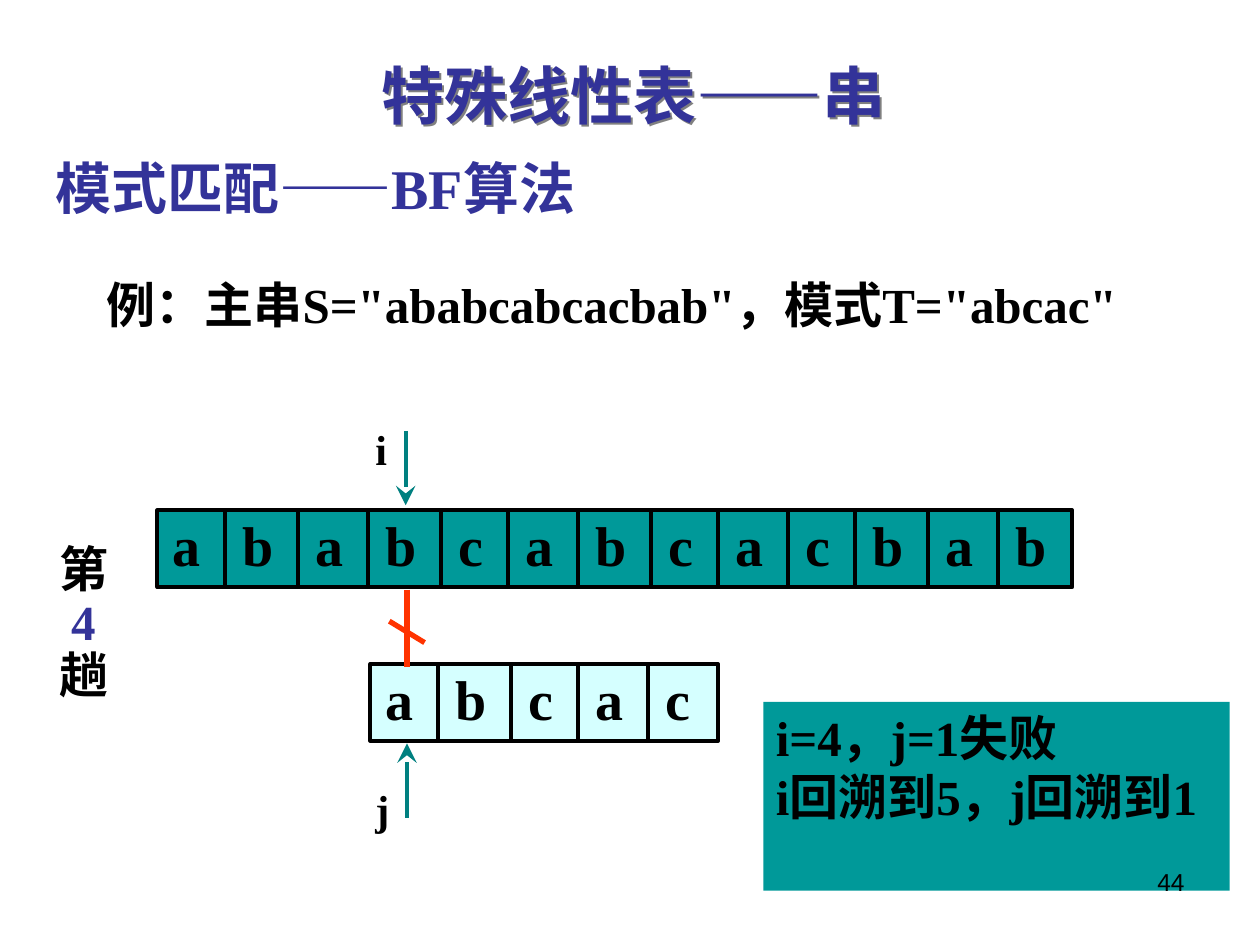
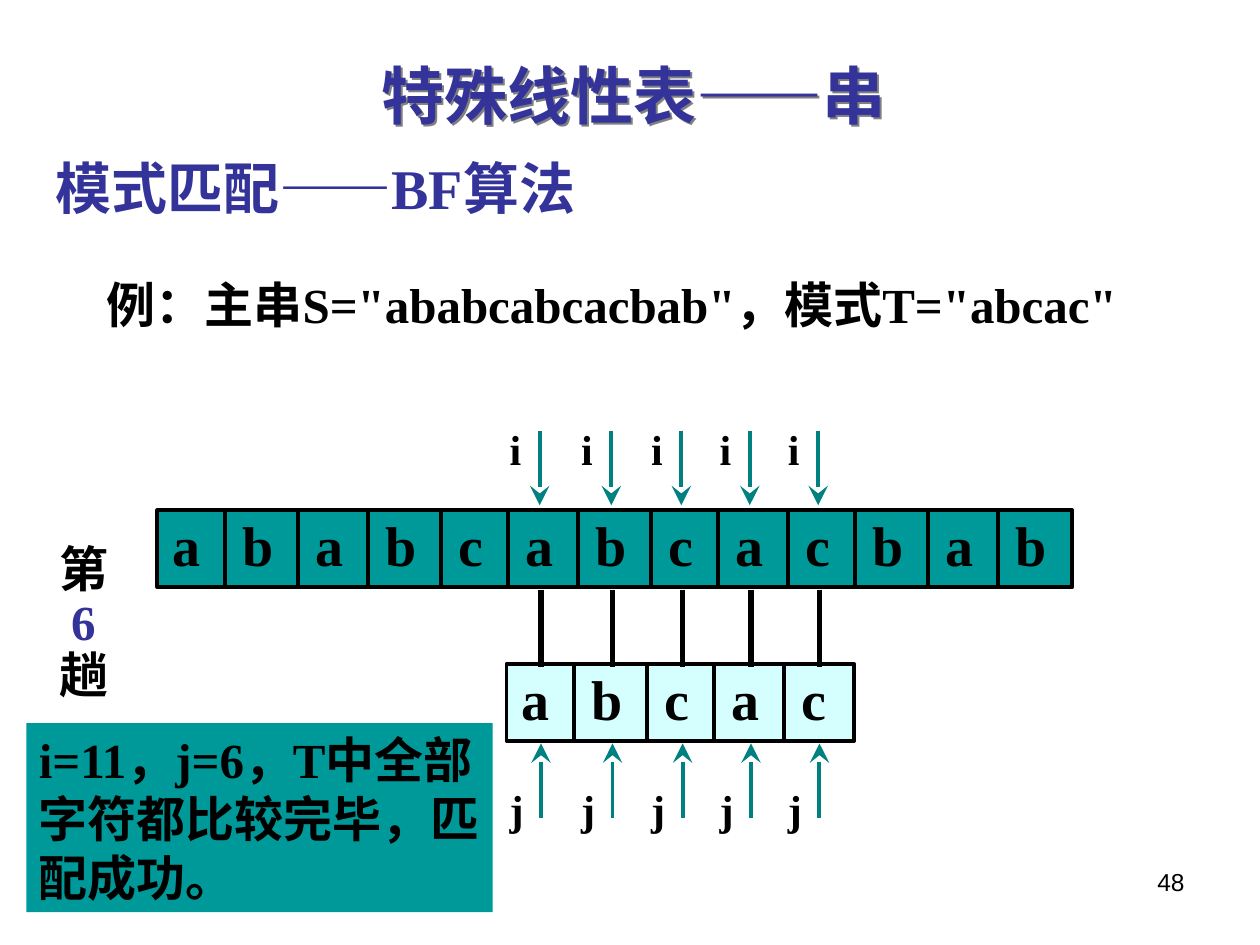
from itertools import accumulate

from lxml import etree
from pptx import Presentation
from pptx import util as u
from pptx.dml.color import RGBColor
from pptx.enum import shapes, text
from pptx.oxml.ns import qn

BLACK, NAVY, TEAL, ARROW = "000000", "333399", "009999", "008080"
PALE, RED, SHADOW = "D5FFFF", "FF3300", "808080"
SERIF, SANS = "Times New Roman", "Arial"

MAIN_STRING, PATTERN = "ababcabcacbab", "abcac"
MAIN_LEFT, MAIN_TOP, PATTERN_TOP, ROW_HEIGHT = 1.25, 4.05, 5.27, 0.61
ROW_INSET, ROW_SIZE = 0.12, 32
LETTER_EM = {"a": 0.5, "b": 0.556, "c": 0.444}
GAP_EM = 0.75


def color(value):
    return RGBColor.from_string(value)


def letter_width(letter):
    return LETTER_EM[letter] * ROW_SIZE / 72


def letter_offsets(letters):
    """Left edge of each letter, measured from the first one, in inches."""
    steps = [letter_width(letter) + GAP_EM * ROW_SIZE / 72 for letter in letters[:-1]]
    return list(accumulate(steps, initial=0))


class StringDeck:
    def __init__(self):
        self.presentation = Presentation()
        self.presentation.slide_width = u.Inches(10)
        self.presentation.slide_height = u.Inches(7.5)
        self.slide = None

    def start_slide(self, round_number):
        self.slide = self.presentation.slides.add_slide(self.presentation.slide_layouts[6])
        title = self.text_box(2.93, 0.4, 4.77, 0.7, [[("特殊线性表——串", NAVY)]], 36)
        self.cast_shadow(title)
        self.text_box(0.34, 1.17, 8.17, 0.64, [[("模式匹配——BF算法", NAVY)]], 32)
        self.text_box(0.75, 2.13, 8.92, 0.57,
                      [[('例：主串S="ababcabcacbab"，模式T="abcac"', BLACK)]])
        self.text_box(0.37, 4.28, 0.71, 1.36,
                      [[("第", BLACK)], [(f" {round_number}", NAVY)], [("趟", BLACK)]],
                      line_spacing=0.9)
        self.letter_row(MAIN_STRING, MAIN_LEFT, MAIN_TOP, 7.26, TEAL)

    def page_number(self, number):
        shape = self.text_box(7.17, 6.83, 2.33, 0.52, [[(str(number), BLACK)]],
                              14, font=SANS, bold=False)
        shape.text_frame.paragraphs[0].alignment = text.PP_ALIGN.RIGHT

    def fill_text(self, frame, lines, size, font=SERIF, bold=True, line_spacing=None):
        """Write lines, each a list of (words, colour) runs."""
        frame.word_wrap = True
        frame.vertical_anchor = text.MSO_ANCHOR.TOP
        for index, line in enumerate(lines):
            paragraph = frame.add_paragraph() if index else frame.paragraphs[0]
            paragraph.alignment = text.PP_ALIGN.LEFT
            paragraph._p.get_or_add_pPr().set("hangingPunct", "0")
            if line_spacing:
                paragraph.line_spacing = line_spacing
            for words, run_color in line:
                run = paragraph.add_run()
                run.text = words
                run.font.size = u.Pt(size)
                run.font.bold = bold
                run.font.color.rgb = color(run_color)
                run.font.name = font

    def text_box(self, left, top, width, height, lines, size=28, side_inset=0.1, **style):
        shape = self.slide.shapes.add_textbox(*map(u.Inches, (left, top, width, height)))
        frame = shape.text_frame
        frame.margin_left = frame.margin_right = u.Inches(side_inset)
        self.fill_text(frame, lines, size, **style)
        return shape

    def cast_shadow(self, shape):
        """Give an unfilled box a shadow, which then falls from its letters."""
        effects = etree.SubElement(shape._element.spPr, qn("a:effectLst"))
        shadow = etree.SubElement(effects, qn("a:outerShdw"), blurRad="0",
                                  dist=str(u.Pt(1.6)), dir="2700000", algn="tl")
        etree.SubElement(shadow, qn("a:srgbClr"), val=SHADOW)

    def rectangle(self, left, top, width, height, fill, outlined=False):
        shape = self.slide.shapes.add_shape(
            shapes.MSO_SHAPE.RECTANGLE, *map(u.Inches, (left, top, width, height)))
        shape.shadow.inherit = False
        shape.fill.solid()
        shape.fill.fore_color.rgb = color(fill)
        if outlined:
            shape.line.color.rgb = color(BLACK)
            shape.line.width = u.Pt(2.25)
        else:
            shape.line.fill.background()
        return shape

    def line(self, start, end, line_color=BLACK, width=2.25, arrow=False):
        connector = self.slide.shapes.add_connector(
            shapes.MSO_CONNECTOR.STRAIGHT, *map(u.Inches, (*start, *end)))
        connector.line.color.rgb = color(line_color)
        connector.line.width = u.Pt(width)
        if arrow:
            etree.SubElement(connector.line._get_or_add_ln(), qn("a:tailEnd"),
                             type="stealth", w="lg", len="lg")
        etree.SubElement(connector._element.spPr, qn("a:effectLst"))

    def letter_row(self, letters, left, top, width, fill):
        """Draw a string as one box, with a tab stop and a divider for each next letter."""
        shape = self.rectangle(left, top, width, ROW_HEIGHT, fill, outlined=True)
        frame = shape.text_frame
        frame.margin_left, frame.margin_right = u.Inches(ROW_INSET), u.Inches(0.02)
        frame.margin_top = frame.margin_bottom = 0
        self.fill_text(frame, [[("\t".join(letters), BLACK)]], ROW_SIZE)
        properties = frame.paragraphs[0]._p.get_or_add_pPr()
        tabs = etree.SubElement(properties, qn("a:tabLst"))
        for offset in letter_offsets(letters)[1:]:
            etree.SubElement(tabs, qn("a:tab"), pos=str(u.Inches(offset)), algn="l")
            x = left + offset - 0.02
            self.line((x, top), (x, top + ROW_HEIGHT))

    def comparison(self, x, matched):
        """Point i and j at the letters around x and join them, struck out on a mismatch."""
        self.line((x + 0.01, 4.68), (x + 0.01, 5.29), BLACK if matched else RED, 3)
        if not matched:
            self.line((x - 0.13, 4.93), (x + 0.15, 5.1), RED, 3)
        self.line((x, 3.42), (x, 4.01), ARROW, arrow=True)
        self.line((x + 0.01, 6.49), (x + 0.01, 5.9), ARROW, arrow=True)
        for name, shift, top in (("i", -0.24, 3.31), ("j", -0.24, 6.17)):
            self.text_box(x + shift, top, 0.25, 0.5, [[(name, BLACK)]], 24, side_inset=0)

    def result(self, left, top, lines):
        shape = self.rectangle(left, top, 3.7, 1.5, TEAL)
        self.fill_text(shape.text_frame, [[(line, BLACK)] for line in lines], 28)


def main():
    deck = StringDeck()

    deck.start_slide(4)
    deck.letter_row(PATTERN, 2.94, PATTERN_TOP, 2.76, PALE)
    deck.comparison(3.22, matched=False)
    deck.result(6.06, 5.57, ["i=4，j=1失败", "i回溯到5，j回溯到1"])
    deck.page_number(44)

    deck.start_slide(6)
    deck.letter_row(PATTERN, 4.02, PATTERN_TOP, 2.76, PALE)
    match_start = 5
    offsets = letter_offsets(MAIN_STRING)[match_start:]
    for letter, offset in zip(PATTERN, offsets):
        deck.comparison(MAIN_LEFT + ROW_INSET + offset + letter_width(letter) / 2, matched=True)
    deck.result(0.21, 5.74, ["i=11，j=6，T中全部字符都比较完毕，匹配成功。"])
    deck.page_number(48)

    deck.presentation.save("out.pptx")


if __name__ == "__main__":
    main()
